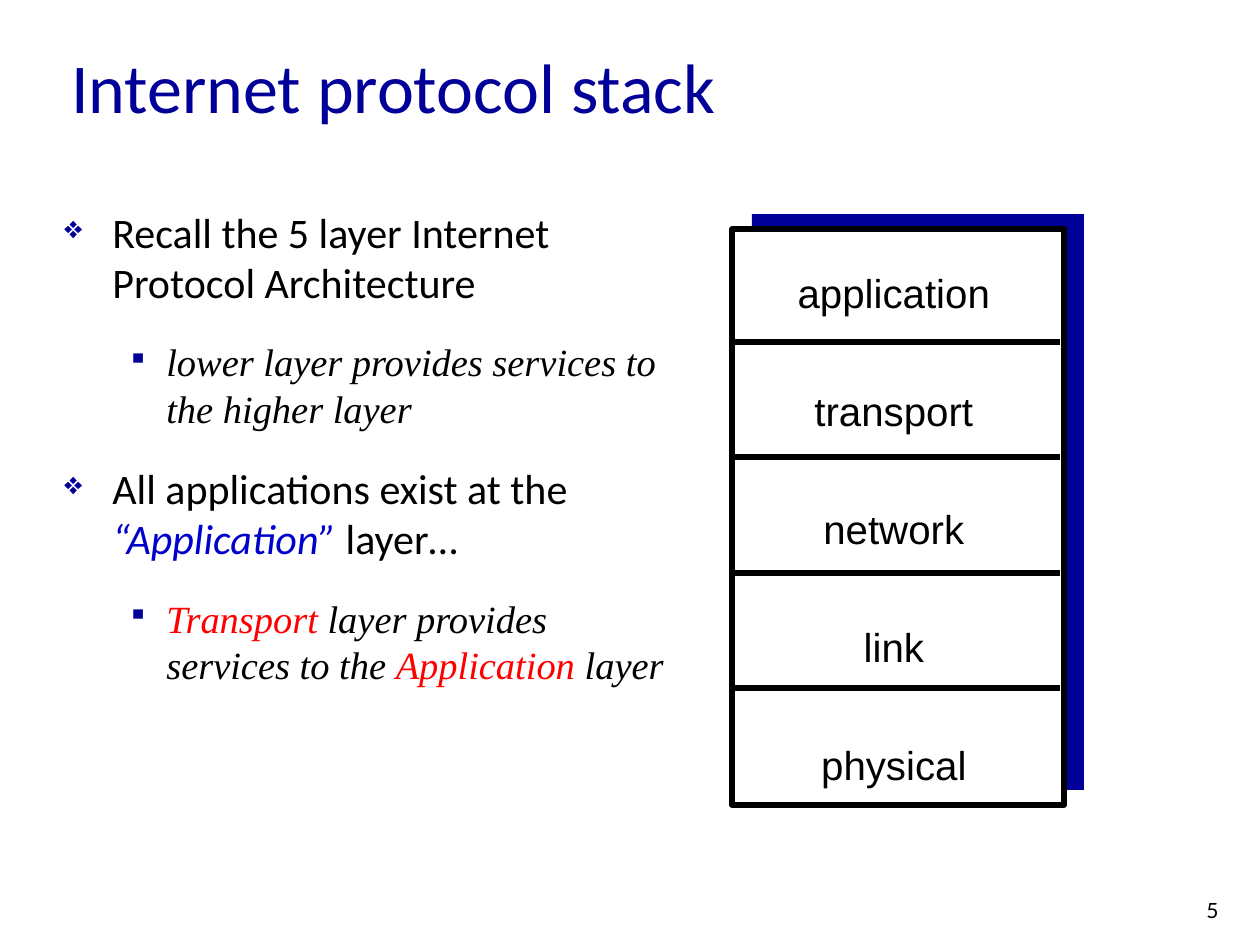
from dataclasses import dataclass

from lxml.etree import SubElement
from pptx import Presentation
from pptx.dml.color import RGBColor
from pptx.enum.shapes import MSO_CONNECTOR as CONN, MSO_SHAPE as SHAPE
from pptx.enum.text import MSO_ANCHOR as ANCHOR, PP_ALIGN as ALIGN
from pptx.oxml.ns import qn
from pptx.util import Pt

EMU_PER_PX = 914400 / 126


def px(n):
    return round(n * EMU_PER_PX)


@dataclass(frozen=True)
class Theme:
    navy: str = "000099"
    blue: str = "0000CC"
    red: str = "FF0000"
    black: str = "000000"
    white: str = "FFFFFF"
    head_font: str = "Calibri"
    detail_font: str = "Times New Roman"
    layer_font: str = "Arial"
    number_font: str = "Lato"
    title_size: int = 40
    point_size: int = 24
    detail_size: int = 22
    layer_size: int = 23
    number_size: int = 12
    line_width: int = 3


THEME = Theme()


def add_text(p, text, *, font, size, color=THEME.black, italic=False):
    r = p.add_run()
    r.text = text
    r.font.name = font
    r.font.size = Pt(size)
    r.font.italic = italic
    r.font.color.rgb = RGBColor.from_string(color)


def set_bullet(p, char, color, margin, hang):
    pPr = p._p.get_or_add_pPr()
    pPr.set("marL", str(px(margin)))
    pPr.set("indent", str(px(-hang)))
    clr = SubElement(pPr, qn("a:buClr"))
    SubElement(clr, qn("a:srgbClr"), val=color)
    SubElement(pPr, qn("a:buSzPct"), val="75000")
    SubElement(pPr, qn("a:buChar"), char=char)


class SlideBuilder:
    def __init__(self, slide, theme):
        self.shapes = slide.shapes
        self.theme = theme

    def text_frame(self, x, y, w, h, anchor=ANCHOR.TOP):
        tf = self.shapes.add_textbox(px(x), px(y), px(w), px(h)).text_frame
        tf.word_wrap = True
        tf.vertical_anchor = anchor
        return tf

    def label(self, text, x, y, w, h, anchor=ANCHOR.TOP, **fmt):
        tf = self.text_frame(x, y, w, h, anchor)
        add_text(tf.paragraphs[0], text, **fmt)

    def outline(self, items, x, y, w, h):
        """Bulleted text; each item is a level and its (text, colour, italic) runs."""
        t = self.theme
        levels = [
            dict(bullet=("❖", t.navy, 48, 48), font=t.head_font, size=t.point_size),
            dict(bullet=("▪", t.navy, 102, 39), font=t.detail_font, size=t.detail_size),
        ]
        tf = self.text_frame(x, y, w, h)
        for i, (level, runs) in enumerate(items):
            p = tf.add_paragraph() if i else tf.paragraphs[0]
            style = levels[level]
            p.level = level
            p.space_before = Pt(18)
            set_bullet(p, *style["bullet"])
            for text, color, italic in runs:
                add_text(p, text, font=style["font"], size=style["size"],
                         color=color, italic=italic)

    def rect(self, x, y, w, h, fill, line=None):
        sp = self.shapes.add_shape(SHAPE.RECTANGLE, px(x), px(y), px(w), px(h))
        sp.shadow.inherit = False
        sp.fill.solid()
        sp.fill.fore_color.rgb = RGBColor.from_string(fill)
        if line:
            sp.line.color.rgb = RGBColor.from_string(line)
            sp.line.width = Pt(self.theme.line_width)
        else:
            sp.line.fill.background()

    def divider(self, x1, x2, y):
        c = self.shapes.add_connector(CONN.STRAIGHT, px(x1), px(y), px(x2), px(y))
        c.line.color.rgb = RGBColor.from_string(self.theme.black)
        c.line.width = Pt(self.theme.line_width)
        SubElement(c._element.spPr, qn("a:effectLst"))

    def layer_names(self, names, x, y, w, h):
        t = self.theme
        tf = self.text_frame(x, y, w, h)
        for i, name in enumerate(names):
            p = tf.add_paragraph() if i else tf.paragraphs[0]
            p.alignment = ALIGN.CENTER
            p.line_spacing = 1.2
            p.space_after = Pt(34.4)
            add_text(p, name, font=t.layer_font, size=t.layer_size)

    def layer_stack(self, names, x, y, w, h):
        t = self.theme
        self.rect(x + 20, y - 15, w, h, t.navy)
        self.rect(x, y, w, h, t.white, line=t.black)
        self.layer_names(names, x + 18, y + 23, 288, 534)
        for i in range(1, len(names)):
            self.divider(x - 1, x + w - 4, y - 2 + round(i * h / len(names)))


def main():
    t = THEME
    prs = Presentation()
    prs.slide_width, prs.slide_height = px(1260), px(945)
    s = SlideBuilder(prs.slides.add_slide(prs.slide_layouts[6]), t)

    s.label("Internet protocol stack", 59, 15, 1071, 141, anchor=ANCHOR.MIDDLE,
            font=t.head_font, size=t.title_size, color=t.navy)
    s.outline([
        (0, [("Recall the 5 layer Internet Protocol Architecture", t.black, False)]),
        (1, [("lower layer provides services to the higher layer", t.black, True)]),
        (0, [("All applications exist at the ", t.black, False),
             ("“Application” ", t.blue, True),
             ("layer…", t.black, False)]),
        (1, [("Transport", t.red, True),
             (" layer provides services to the ", t.black, True),
             ("Application", t.red, True),
             (" layer", t.black, True)]),
    ], 52, 200, 630, 665)
    s.layer_stack(["application", "transport", "network", "link", "physical"],
                  732, 229, 332, 576)
    s.label("5", 1194, 891, 63, 53, font=t.number_font, size=t.number_size)

    prs.save("out.pptx")


if __name__ == "__main__":
    main()
